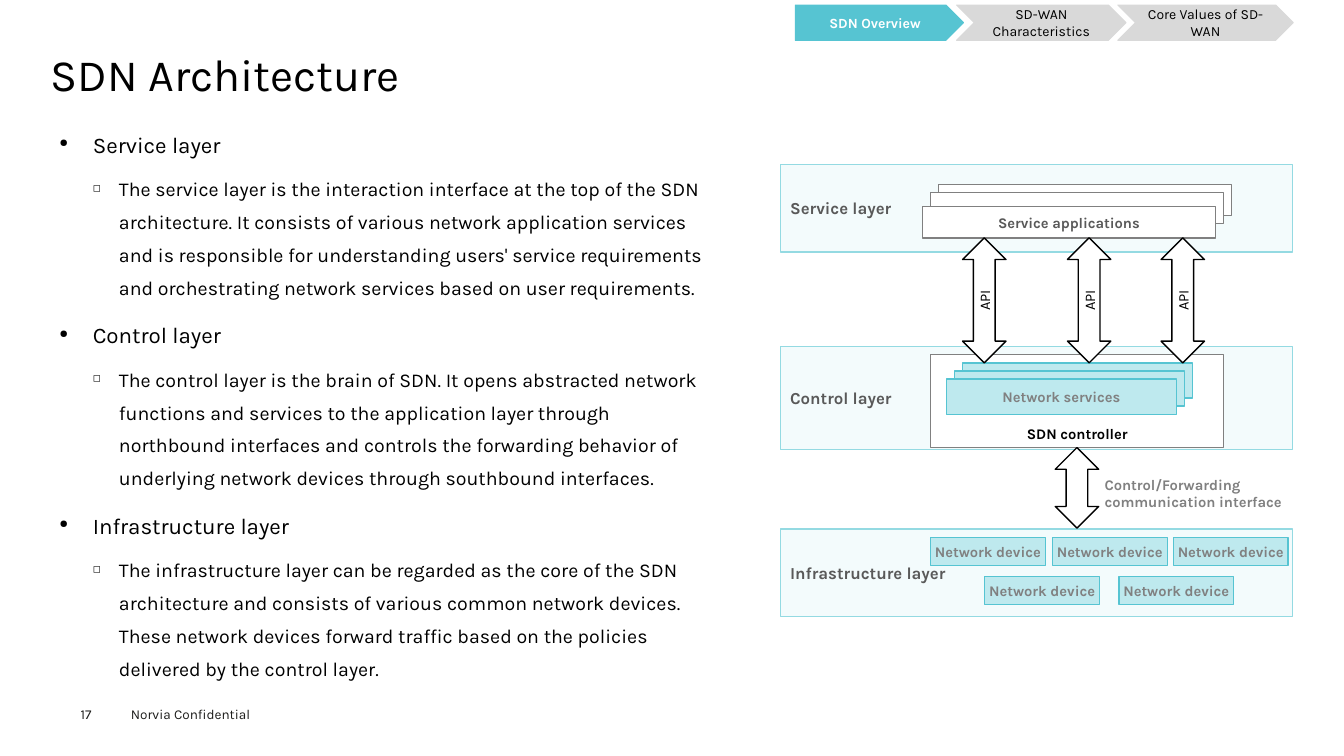
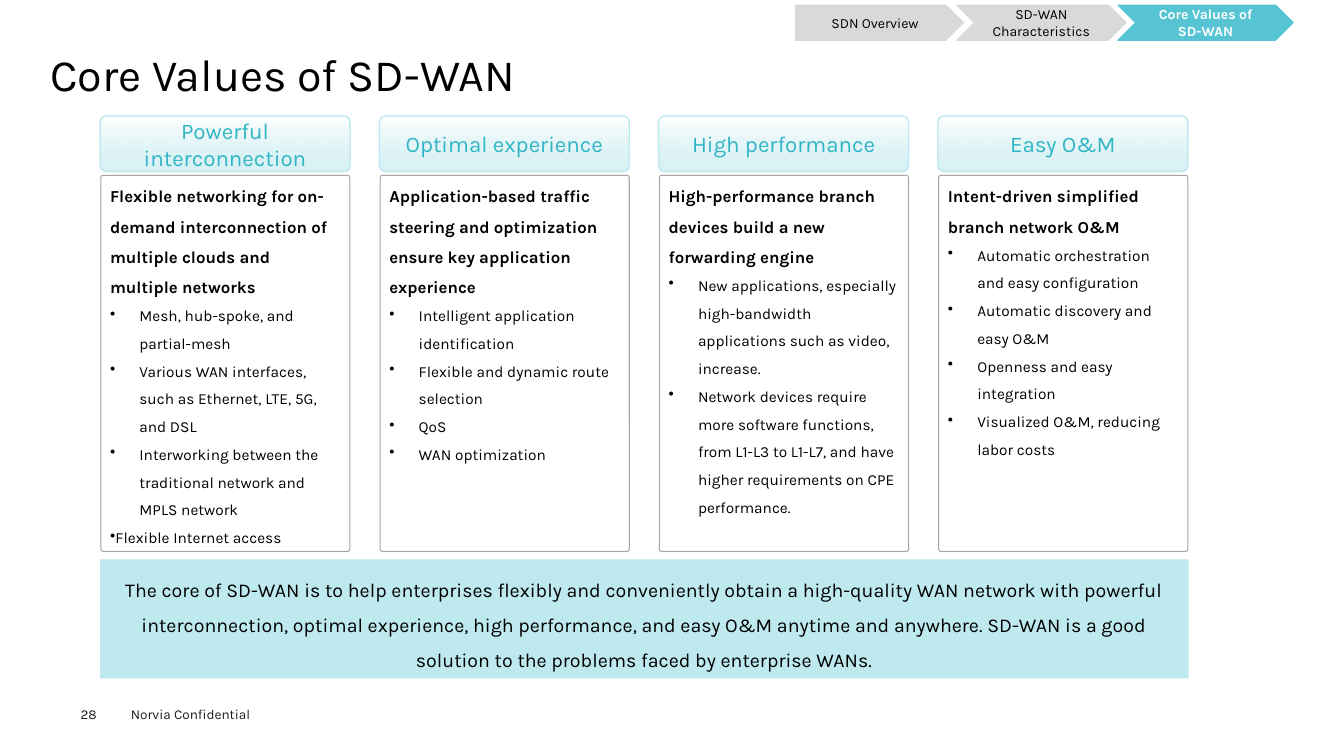
import dataclasses

import lxml.etree
import pptx
import pptx.dml.color
import pptx.enum.shapes
import pptx.enum.text
import pptx.oxml.ns
import pptx.util

Pt = pptx.util.Pt
RGBColor = pptx.dml.color.RGBColor
SHAPE = pptx.enum.shapes.MSO_SHAPE
ALIGN = pptx.enum.text.PP_ALIGN
ANCHOR = pptx.enum.text.MSO_ANCHOR
qn = pptx.oxml.ns.qn

BLACK = RGBColor(0x00, 0x00, 0x00)
WHITE = RGBColor(0xFF, 0xFF, 0xFF)
FOOTER_INK = RGBColor(0x1D, 0x1D, 0x1B)
DARK_GRAY = RGBColor(0x59, 0x59, 0x59)
GRAY = RGBColor(0x80, 0x80, 0x80)
FRAME_GRAY = RGBColor(0xA6, 0xA6, 0xA6)
TAB_GRAY = RGBColor(0xD9, 0xD9, 0xD9)
TEAL = RGBColor(0x56, 0xC4, 0xD2)
TEAL_INK = RGBColor(0x30, 0xB5, 0xC5)
TEAL_EDGE = RGBColor(0x94, 0xDA, 0xE2)
TEAL_LIGHT = RGBColor(0xBE, 0xE9, 0xEE)
TEAL_PALE = RGBColor(0xF3, 0xFB, 0xFC)

DEFAULT_INSETS = (7.2, 3.6, 7.2, 3.6)
NO_INSETS = (0, 0, 0, 0)


@dataclasses.dataclass
class Line:
    text: str
    size: float
    color: RGBColor = BLACK
    bold: bool = False
    align: ALIGN = ALIGN.LEFT
    spacing: float = 1.0
    before: float = 0
    bullet: str = ""
    bullet_percent: int = 100
    margin: float = 0
    indent: float = 0


class Deck:
    font = "Karla"
    tabs = (
        ("SDN Overview", SHAPE.PENTAGON, 568.1, 120.2, NO_INSETS),
        ("SD-WAN Characteristics", SHAPE.CHEVRON, 683.3, 121, NO_INSETS),
        ("Core Values of SD-WAN", SHAPE.CHEVRON, 798.5, 125.3, (8.6, 0, 8.6, 0)),
    )

    def __init__(self):
        self.presentation = pptx.Presentation()
        self.presentation.slide_width = Pt(960)
        self.presentation.slide_height = Pt(540)
        self.slide = None

    def start_slide(self, title, number, active_tab):
        layout = self.presentation.slide_layouts[6]
        self.slide = self.presentation.slides.add_slide(layout)
        self.text((86.4, 500.4, 150, 19.4), [Line("Norvia Confidential", 9.7, FOOTER_INK)])
        self.text((57.6, 504, 39.6, 11.5), [Line(number, 9.7, FOOTER_INK)], NO_INSETS)
        self.text((36, 35.3, 889.2, 38.9), [Line(title, 32, spacing=0.9)],
                  NO_INSETS, ANCHOR.MIDDLE)
        for label, kind, left, width, insets in self.tabs:
            active = label == active_tab
            fill = TEAL if active else TAB_GRAY
            ink = WHITE if active else BLACK
            self.shape(kind, (left, 3.6, width, 25.2), fill, fill,
                       [Line(label, 10, ink, active, ALIGN.CENTER)], insets, 0.75)

    def fill_text(self, shape, lines, insets, anchor):
        frame = shape.text_frame
        frame.word_wrap = True
        frame.vertical_anchor = anchor
        frame.margin_left, frame.margin_top, frame.margin_right, frame.margin_bottom = (
            Pt(inset) for inset in insets)
        frame.text = "\n".join(line.text for line in lines)
        for paragraph, line in zip(frame.paragraphs, lines):
            if line.bullet:
                self.bullet(paragraph, line)
            paragraph.alignment = line.align
            paragraph.line_spacing = line.spacing
            if line.before and line is not lines[0]:
                paragraph.space_before = Pt(line.before)
            for run in paragraph.runs:
                run.font.name = self.font
                run.font.size = Pt(line.size)
                run.font.bold = line.bold
                run.font.color.rgb = line.color

    def bullet(self, paragraph, line):
        properties = paragraph._p.get_or_add_pPr()
        properties.set("marL", str(Pt(line.margin)))
        properties.set("indent", str(Pt(line.indent)))
        size = lxml.etree.SubElement(properties, qn("a:buSzPct"))
        size.set("val", str(line.bullet_percent * 1000))
        lxml.etree.SubElement(properties, qn("a:buChar")).set("char", line.bullet)

    def text(self, box, lines, insets=DEFAULT_INSETS, anchor=ANCHOR.TOP):
        shape = self.slide.shapes.add_textbox(*map(Pt, box))
        self.fill_text(shape, lines, insets, anchor)

    def shape(self, kind, box, fill, outline, lines=(), insets=DEFAULT_INSETS,
              line_width=1, corner=None):
        shape = self.slide.shapes.add_shape(kind, *map(Pt, box))
        shape.shadow.inherit = False
        if corner is not None:
            shape.adjustments[0] = corner
        if fill is None:
            shape.fill.background()
        else:
            shape.fill.solid()
            shape.fill.fore_color.rgb = fill
        if outline is None:
            shape.line.fill.background()
        else:
            shape.line.color.rgb = outline
            shape.line.width = Pt(line_width)
        if lines:
            self.fill_text(shape, lines, insets, ANCHOR.MIDDLE)
        return shape

    def panel(self, label, top, height):
        self.shape(SHAPE.RECTANGLE, (557.3, top, 365.8, height), TEAL_PALE, TEAL_EDGE,
                   [Line(label, 12, DARK_GRAY, True)])

    def stack(self, corners, size, fill, outline, label):
        for corner in corners:
            lines = [label] if corner == corners[-1] else []
            self.shape(SHAPE.RECTANGLE, corner + size, fill, outline, lines)

    def double_arrow(self, left, top, height, label=""):
        lines = [Line(label, 10.5, align=ALIGN.CENTER)] if label else []
        arrow = self.shape(SHAPE.UP_DOWN_ARROW, (left, top, 31, height), WHITE, BLACK, lines)
        if label:
            arrow.text_frame._txBody.bodyPr.set("vert", "vert270")

    def heading(self, box, label):
        shape = self.shape(SHAPE.ROUNDED_RECTANGLE, box, WHITE, TEAL_LIGHT,
                           [Line(label, 16, TEAL_INK, align=ALIGN.CENTER)],
                           NO_INSETS, corner=0.106)
        shape.fill.gradient()
        shape.fill.gradient_angle = 270
        top_stop, bottom_stop = shape.fill.gradient_stops
        top_stop.color.rgb, top_stop.position = WHITE, 0
        bottom_stop.color.rgb, bottom_stop.position = TEAL_LIGHT, 1
        color = shape._element.spPr.findall(".//" + qn("a:gs"))[-1][0]
        lxml.etree.SubElement(color, qn("a:alpha")).set("val", "60000")


LAYERS = (
    ("Service layer", "The service layer is the interaction interface at the top of the SDN "
     "architecture. It consists of various network application services and is responsible for "
     "understanding users' service requirements and orchestrating network services based on "
     "user requirements."),
    ("Control layer", "The control layer is the brain of SDN. It opens abstracted network "
     "functions and services to the application layer through northbound interfaces and "
     "controls the forwarding behavior of underlying network devices through southbound "
     "interfaces."),
    ("Infrastructure layer", "The infrastructure layer can be regarded as the core of the SDN "
     "architecture and consists of various common network devices. These network devices "
     "forward traffic based on the policies delivered by the control layer."),
)

VALUES = (
    ("Powerful interconnection",
     "Flexible networking for on-demand interconnection of multiple clouds and multiple networks",
     ("Mesh, hub-spoke, and partial-mesh",
      "Various WAN interfaces, such as Ethernet, LTE, 5G, and DSL",
      "Interworking between the traditional network and MPLS network",
      "Flexible Internet access")),
    ("Optimal experience",
     "Application-based traffic steering and optimization ensure key application experience",
     ("Intelligent application identification",
      "Flexible and dynamic route selection",
      "QoS",
      "WAN optimization")),
    ("High performance",
     "High-performance branch devices build a new forwarding engine",
     ("New applications, especially high-bandwidth applications such as video, increase.",
      "Network devices require more software functions, from L1-L3 to L1-L7, and have higher "
      "requirements on CPE performance.")),
    ("Easy O&M",
     "Intent-driven simplified branch network O&M",
     ("Automatic orchestration and easy configuration",
      "Automatic discovery and easy O&M",
      "Openness and easy integration",
      "Visualized O&M, reducing labor costs")),
)
UNINDENTED_ITEM = "Flexible Internet access"


def build_architecture(deck):
    deck.start_slide("SDN Architecture", "17", "SDN Overview")
    lines = []
    for name, description in LAYERS:
        lines.append(Line(name, 16, spacing=1.4, before=7.9, bullet="●",
                          bullet_percent=50, margin=23.8, indent=-23.8))
        lines.append(Line(description, 14, spacing=1.4, before=7.2, bullet="◻",
                          bullet_percent=50, margin=42.5, indent=-18.7))
    deck.text((36, 82.8, 481.7, 383.8), lines, (6.5, 2.9, 6.5, 2.9))

    for (name, _), top, height in zip(LAYERS, (117.4, 247.7, 378), (62.6, 73.4, 62.6)):
        deck.panel(name, top, height)
    deck.stack([(670.3, 131.8), (664.6, 137.5), (658.8, 147.6)], (209.5, 22.3), WHITE, GRAY,
               Line("Service applications", 10.5, DARK_GRAY, True, ALIGN.CENTER))
    deck.shape(SHAPE.RECTANGLE, (664.6, 253.4, 209.5, 66.2), WHITE, GRAY)
    deck.stack([(687.6 - 5.75 * step, 259.2 + 5.75 * step) for step in range(3)],
               (164.2, 25.2), TEAL_LIGHT, TEAL,
               Line("Network services", 10.5, GRAY, True, ALIGN.CENTER))
    deck.text((726.5, 300.2, 153.4, 20.9), [Line("SDN controller", 10.5, bold=True)])

    for top, lefts in ((383.8, (664.6, 751.7, 838.1)), (411.8, (703.4, 799.2))):
        for left in lefts:
            deck.shape(SHAPE.RECTANGLE, (left, top, 82.1, 20.2), TEAL_LIGHT, TEAL,
                       [Line("Network device", 10.5, GRAY, True, ALIGN.CENTER)],
                       (0, 3.6, 0, 3.6))
    for left in (687.6, 762.5, 829.4):
        deck.double_arrow(left, 169.9, 89.3, "API")
    deck.double_arrow(753.8, 319.7, 57.6)
    deck.text((781.9, 336.2, 153.4, 33.8),
              [Line("Control/Forwarding communication interface", 10.5, GRAY, True)])


def build_core_values(deck):
    deck.start_slide("Core Values of SD-WAN", "28", "Core Values of SD-WAN")
    for column, (name, summary, items) in enumerate(VALUES):
        left = 71.5 + 199.5 * column
        deck.heading((left, 82.8, 178.5, 39.6), name)
        deck.shape(SHAPE.ROUNDED_RECTANGLE, (left + 0.5, 125.3, 178, 268.6), None, FRAME_GRAY,
                   line_width=0.75, corner=0.009)
        lines = [Line(summary, 12, bold=True, spacing=1.5)]
        for item in items:
            margin = 0 if item == UNINDENTED_ITEM else 21
            lines.append(Line(item, 11, spacing=1.5, bullet="•", margin=margin, indent=-margin))
        deck.text((left, 122.2, 178, 270), lines)
    deck.shape(SHAPE.RECTANGLE, (71.5, 399.6, 777.6, 85), TEAL_LIGHT, None, [Line(
        "The core of SD-WAN is to help enterprises flexibly and conveniently obtain a "
        "high-quality WAN network with powerful interconnection, optimal experience, high "
        "performance, and easy O&M anytime and anywhere. SD-WAN is a good solution to the "
        "problems faced by enterprise WANs.", 14, align=ALIGN.CENTER, spacing=1.5)])


def main():
    deck = Deck()
    build_architecture(deck)
    build_core_values(deck)
    deck.presentation.save("out.pptx")


if __name__ == "__main__":
    main()
